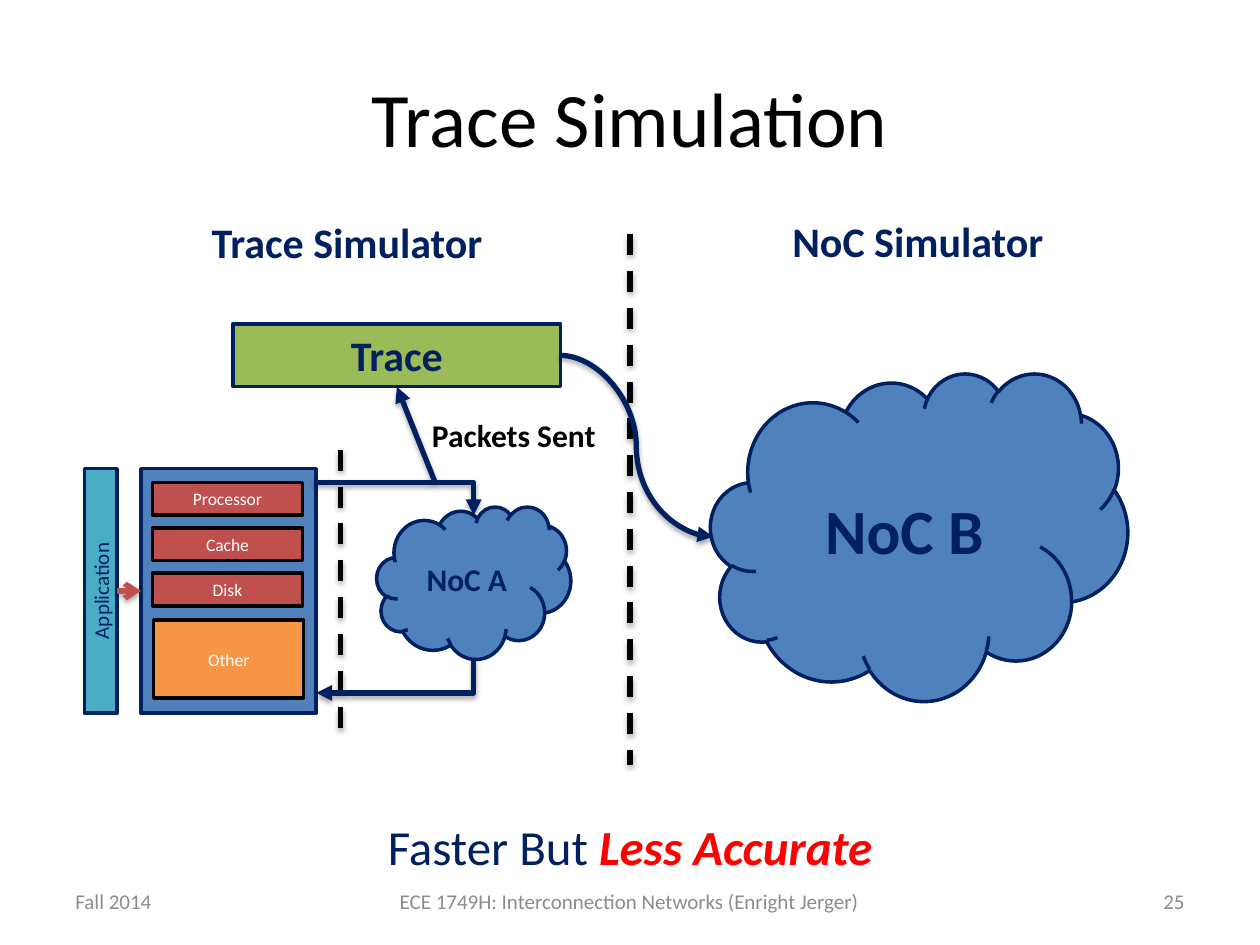
from dataclasses import dataclass

from lxml import etree
from pptx import Presentation
from pptx.dml.color import RGBColor
from pptx.enum.dml import MSO_LINE
from pptx.enum.shapes import MSO_CONNECTOR, MSO_SHAPE
from pptx.enum.text import MSO_ANCHOR, PP_ALIGN
from pptx.oxml.ns import qn
from pptx.util import Inches, Pt

RECTANGLE = MSO_SHAPE.RECTANGLE
CLOUD = MSO_SHAPE.CLOUD
STRAIGHT = MSO_CONNECTOR.STRAIGHT
ELBOW = MSO_CONNECTOR.ELBOW
CURVE = MSO_CONNECTOR.CURVE
DASH = MSO_LINE.DASH
LEFT, CENTER, RIGHT = PP_ALIGN.LEFT, PP_ALIGN.CENTER, PP_ALIGN.RIGHT
TOP, MIDDLE = MSO_ANCHOR.TOP, MSO_ANCHOR.MIDDLE

NAVY, BLACK, WHITE, GRAY = "002060", "000000", "FFFFFF", "8C8C8C"
BLUE, RED, ORANGE = "4F81BD", "C0504D", "F79646"
GREEN, TEAL, BRIGHT_RED = "9BBB59", "4BACC6", "FF0000"

HEADING = {"size": Pt(24), "bold": True}
PART = {"size": Pt(10)}
FOOTER = {"size": Pt(12)}
CLOSING = {"size": Pt(28)}
EMPHASIS = {"size": Pt(28), "bold": True, "italic": True}


@dataclass
class Run:
    text: str
    font: dict
    color: str = NAVY


@dataclass
class Label:
    box: tuple
    runs: list
    align: PP_ALIGN = CENTER
    anchor: MSO_ANCHOR = TOP
    wrap: bool = True


@dataclass
class Block:
    box: tuple
    fill: str
    run: Run | None = None
    kind: MSO_SHAPE = RECTANGLE
    outline: str = NAVY
    rotation: int = 0
    anchor: MSO_ANCHOR = MIDDLE


@dataclass
class Link:
    start: tuple
    end: tuple
    kind: MSO_CONNECTOR = STRAIGHT
    color: str = NAVY
    head: str | None = "triangle"
    dashed: bool = False
    rotation: int = 0


def rgb(color: str) -> RGBColor:
    return RGBColor.from_string(color)


def write_text(frame, runs: list, align: PP_ALIGN, anchor: MSO_ANCHOR, wrap: bool = True) -> None:
    frame.word_wrap = wrap
    frame.vertical_anchor = anchor
    paragraph = frame.paragraphs[0]
    paragraph.alignment = align
    for item in runs:
        run = paragraph.add_run()
        run.text = item.text
        run.font.color.rgb = rgb(item.color)
        for name, value in {"name": "Calibri", **item.font}.items():
            setattr(run.font, name, value)


def draw_label(slide, label: Label) -> None:
    shape = slide.shapes.add_textbox(*map(Inches, label.box))
    write_text(shape.text_frame, label.runs, label.align, label.anchor, label.wrap)


def draw_block(slide, block: Block) -> None:
    shape = slide.shapes.add_shape(block.kind, *map(Inches, block.box))
    shape.shadow.inherit = False
    shape.rotation = block.rotation
    shape.fill.solid()
    shape.fill.fore_color.rgb = rgb(block.fill)
    shape.line.color.rgb = rgb(block.outline)
    shape.line.width = Pt(2)
    if block.run:
        write_text(shape.text_frame, [block.run], CENTER, block.anchor)


def add_shadow(properties) -> None:
    effects = etree.SubElement(properties, qn("a:effectLst"))
    shadow = etree.SubElement(
        effects, qn("a:outerShdw"), blurRad=str(Pt(3.1)), dist=str(Pt(1.8)),
        dir="5400000", rotWithShape="0")
    color = etree.SubElement(shadow, qn("a:srgbClr"), val=BLACK)
    etree.SubElement(color, qn("a:alpha"), val="35000")


def draw_link(slide, link: Link) -> None:
    connector = slide.shapes.add_connector(
        link.kind, *map(Inches, link.start + link.end))
    connector.line.color.rgb = rgb(link.color)
    connector.line.width = Pt(3)
    if link.dashed:
        connector.line.dash_style = DASH
    properties = connector.element.spPr
    if link.kind == ELBOW:
        properties.find(qn("a:prstGeom")).set("prst", "bentConnector2")
    if link.rotation:
        properties.find(qn("a:xfrm")).set("rot", str(link.rotation * 60000))
    if link.head:
        etree.SubElement(properties.find(qn("a:ln")), qn("a:tailEnd"), type=link.head)
    add_shadow(properties)


def draw_title(slide, text: str) -> None:
    title = slide.shapes.title
    box = {"left": 0.5, "top": 0.3, "width": 9, "height": 1.25}
    for name, value in box.items():
        setattr(title, name, Inches(value))
    write_text(title.text_frame, [Run(text, {"size": Pt(44)}, BLACK)], CENTER, MIDDLE)


LABELS = [
    Label((5, 1.66, 4.57, 0.5), [Run("NoC Simulator", HEADING)]),
    Label((0.51, 1.67, 4.49, 0.5), [Run("Trace Simulator", HEADING)]),
    Label((3.33, 3.25, 1.51, 0.4),
          [Run("Packets Sent", {"size": Pt(18), "bold": True}, BLACK)], LEFT, wrap=False),
    Label((0, 6.43, 10, 0.57),
          [Run("Faster But ", CLOSING), Run("Less Accurate", EMPHASIS, BRIGHT_RED)]),
    Label((0.5, 6.95, 2.33, 0.4), [Run("Fall 2014", FOOTER, GRAY)], LEFT, MIDDLE),
    Label((2.83, 6.95, 4.33, 0.4),
          [Run("ECE 1749H: Interconnection Networks (Enright Jerger)", FOOTER, GRAY)],
          CENTER, MIDDLE),
    Label((7.17, 6.95, 2.33, 0.4), [Run("25", FOOTER, GRAY)], RIGHT, MIDDLE),
]

DIVIDERS = [
    Link((5, 1.86), (5, 6.07), color=BLACK, head=None, dashed=True),
    Link((2.7, 3.57), (2.7, 5.8), color=BLACK, head=None, dashed=True),
]

BLOCKS = [
    Block((1.85, 2.57, 2.6, 0.5), GREEN, Run("Trace", HEADING), anchor=TOP),
    Block((5.64, 2.96, 3.31, 2.6), BLUE,
          Run("NoC B", {"size": Pt(36), "bold": True}), CLOUD),
    Block((2.99, 4.02, 1.54, 1.21), BLUE,
          Run("NoC A", {"size": Pt(18), "bold": True}), CLOUD),
    Block((1.12, 3.72, 1.39, 1.94), BLUE),
    *[Block((1.21, 3.83 + 0.36 * row, 1.19, 0.26), RED, Run(name, PART, WHITE), outline=BLACK)
      for row, name in enumerate(["Processor", "Cache", "Disk"])],
    Block((1.22, 4.92, 1.19, 0.62), ORANGE, Run("Other", PART, WHITE), outline=BLACK),
    Block((-0.17, 4.56, 1.94, 0.26), TEAL,
          Run("Application", {"size": Pt(12)}), rotation=270),
]

ARROWS = [
    Link((3.45, 3.82), (3.15, 3.07)),
    Link((0.93, 4.69), (1.12, 4.69), color=RED, head="arrow"),
    Link((2.5, 3.83), (3.76, 4.09), ELBOW),
    Link((3, 4.74), (3.27, 5.99), ELBOW, rotation=90),
    Link((4.44, 2.82), (5.66, 4.26), CURVE),
]


def main() -> None:
    presentation = Presentation()
    presentation.slide_width = Inches(10)
    presentation.slide_height = Inches(7.5)
    slide = presentation.slides.add_slide(presentation.slide_layouts[5])
    draw_title(slide, "Trace Simulation")
    for draw, items in ((draw_link, DIVIDERS), (draw_block, BLOCKS),
                        (draw_link, ARROWS), (draw_label, LABELS)):
        for item in items:
            draw(slide, item)
    presentation.save("out.pptx")


if __name__ == "__main__":
    main()
